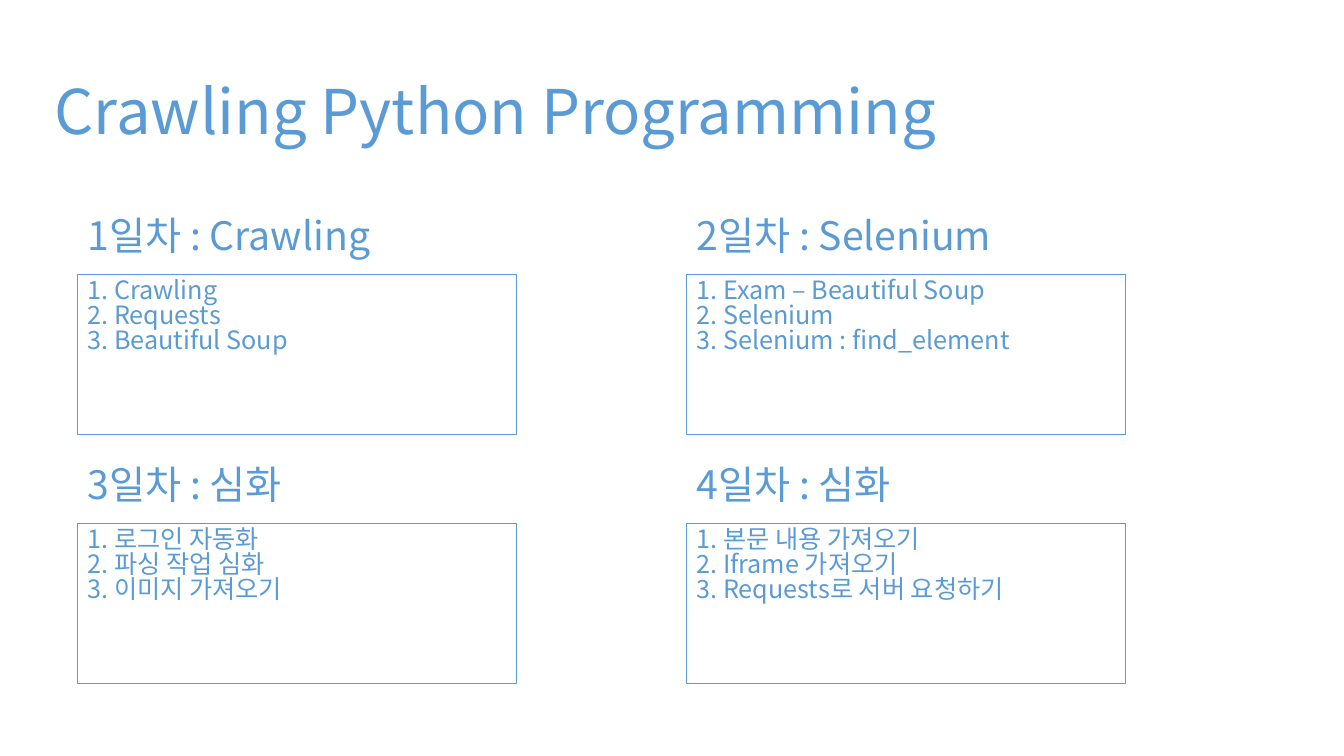
import pptx
import pptx.dml.color
import pptx.enum.shapes
import pptx.enum.text
import pptx.oxml.ns
import pptx.util
from lxml import etree

PX = 9144  # 100 px to the inch
BLUE = pptx.dml.color.RGBColor(0x5B, 0x9B, 0xD5)
FONT = "Noto Sans CJK KR"
MIDDLE = pptx.enum.text.MSO_ANCHOR.MIDDLE
TOP = pptx.enum.text.MSO_ANCHOR.TOP
LEFT = pptx.enum.text.PP_ALIGN.LEFT
CENTER = pptx.enum.text.PP_ALIGN.CENTER

DAYS = [
    ("1일차 : Crawling", ["1. Crawling", "2. Requests", "3. Beautiful Soup"]),
    ("2일차 : Selenium", ["1. Exam – Beautiful Soup", "2. Selenium",
                        "3. Selenium : find_element"]),
    ("3일차 : 심화", ["1. 로그인 자동화", "2. 파싱 작업 심화", "3. 이미지 가져오기"]),
    ("4일차 : 심화", ["1. 본문 내용 가져오기", "2. Iframe 가져오기",
                    "3. Requests로 서버 요청하기"]),
]
COLUMN_LEFT, COLUMN_STEP = 77, 604
ROW_TOP, ROW_STEP = 200, 247
CARD_WIDTH, HEADING_HEIGHT, LIST_HEIGHT = 435, 72, 159


def place(left, top, width, height):
    return [pptx.util.Emu(value * PX) for value in (left, top, width, height)]


def write(box, lines, size, anchor, align=LEFT, spacing=0.9):
    """Fill a box with one blue paragraph for each line."""
    frame = box.text_frame
    frame.word_wrap = True
    frame.auto_size = pptx.enum.text.MSO_AUTO_SIZE.NONE
    frame.vertical_anchor = anchor
    for index, line in enumerate(lines):
        para = frame.add_paragraph() if index else frame.paragraphs[0]
        para.alignment = align
        para.line_spacing = spacing
        span = para.add_run()
        span.text = line
        span.font.size = pptx.util.Pt(size)
        span.font.name = FONT
        span.font.color.rgb = BLUE
        east_asian = etree.SubElement(span.font._element, pptx.oxml.ns.qn("a:ea"))
        east_asian.set("typeface", FONT)


deck = pptx.Presentation()
deck.slide_width, deck.slide_height = place(0, 0, 1333, 750)[2:]
page = deck.slides.add_slide(deck.slide_layouts[5])

title = page.shapes.title
title.left, title.top, title.width, title.height = place(29, 33, 925, 162)
write(title, ["Crawling Python Programming"], 44, MIDDLE, CENTER)

for index, (heading, topics) in enumerate(DAYS):
    row, column = divmod(index, 2)
    left = COLUMN_LEFT + column * COLUMN_STEP
    top = ROW_TOP + row * ROW_STEP

    heading_box = page.shapes.add_textbox(*place(left, top, CARD_WIDTH, HEADING_HEIGHT))
    write(heading_box, [heading], 28, MIDDLE)

    list_box = page.shapes.add_shape(
        pptx.enum.shapes.MSO_SHAPE.RECTANGLE,
        *place(left, top + HEADING_HEIGHT, CARD_WIDTH, LIST_HEIGHT))
    list_box.shadow.inherit = False
    list_box.fill.background()
    list_box.line.color.rgb = BLUE
    list_box.line.width = pptx.util.Pt(0.75)
    write(list_box, topics, 18, TOP, spacing=0.83)

deck.save("out.pptx")
